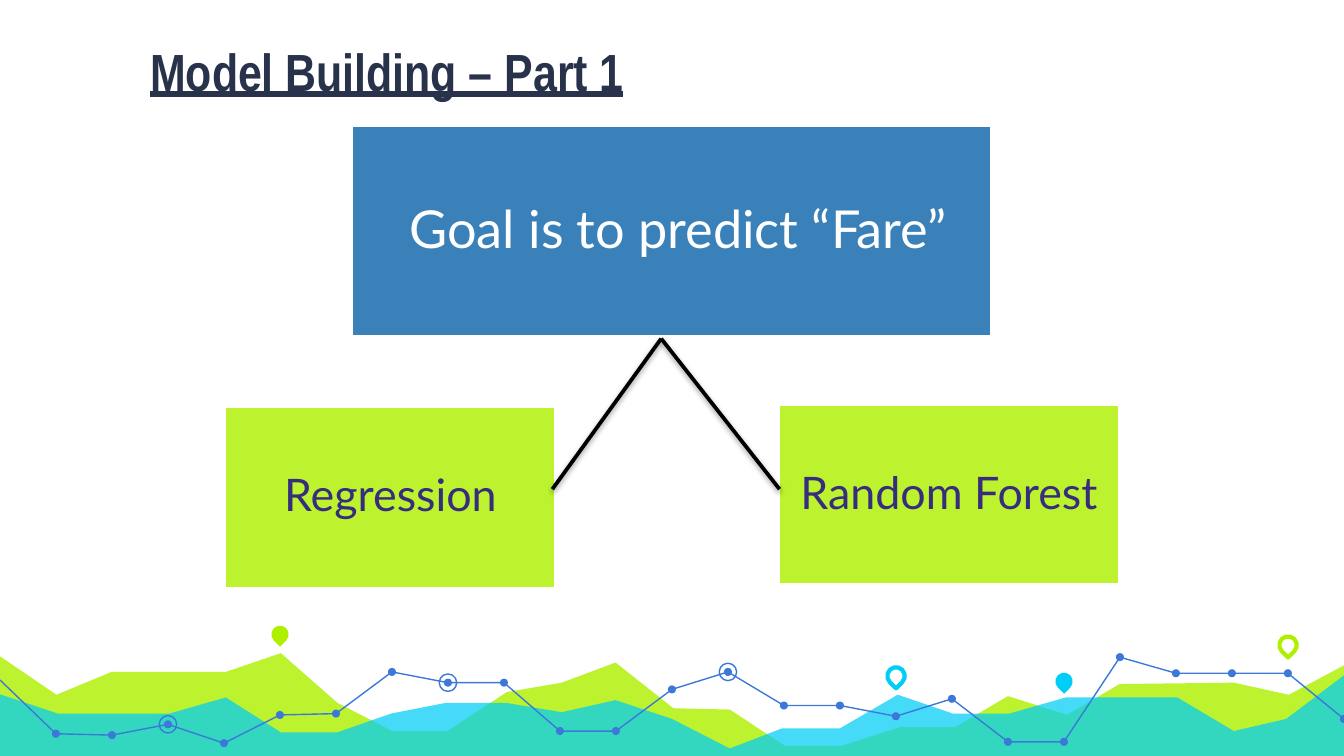
import pptx
import pptx.dml.color
import pptx.enum.shapes
import pptx.enum.text
import pptx.oxml
import pptx.oxml.ns
import pptx.util
from pptx.util import Inches

SHAPES = pptx.enum.shapes.MSO_SHAPE
LIME, CYAN, BLUE, NAVY = "AFF000", "00CEF6", "3C78D8", "28324A"
WHITE, BLACK = "FFFFFF", "000000"

TITLE = "Model Building – Part 1"

# text, (left, top, width, height), fill, text colour, text size, inset
BOXES = [
    (" Goal is to predict “Fare”", (2.61, 0.93, 4.77, 1.58), "3A81BA", WHITE, 28, 0.08),
    ("Regression", (1.67, 3.02, 2.47, 1.36), "BDF32E", "372D7D", 24, 0.07),
    ("Random Forest", (5.79, 3.01, 2.54, 1.34), "BDF32E", "372D7D", 24, 0.07),
]
FORK = (4.92, 2.52)
BRANCH_ENDS = [(5.8, 3.64), (4.11, 3.64)]

# colour, opacity in percent, outline
HILLS = [
    (LIME, 82, [
        (-0.02, 4.87), (0.42, 5.17), (0.83, 5), (1.68, 5), (2.09, 4.86), (2.51, 5.23),
        (2.92, 5.44), (3.33, 5.44), (3.77, 5.15), (4.18, 5.08), (4.58, 4.93), (5.01, 5.27),
        (5.43, 5.28), (5.84, 5.55), (6.26, 5.55), (6.7, 5.41), (7.11, 5.41), (7.5, 5.18),
        (7.94, 5.32), (8.33, 5.09), (9.18, 5.08), (9.59, 5.17), (10.02, 4.94),
        (10.01, 5.64), (-0.03, 5.64)]),
    (CYAN, 73, [
        (-0.02, 5.16), (0.43, 5.31), (1.26, 5.31), (1.68, 5.19), (2.09, 5.45), (2.51, 5.45),
        (2.91, 5.31), (3.32, 5.23), (3.76, 5.23), (4.18, 5.3), (4.58, 5.21), (5, 5.35),
        (5.43, 5.57), (5.82, 5.42), (6.25, 5.42), (6.68, 5.17), (7.09, 5.31), (7.51, 5.31),
        (7.93, 5.19), (8.76, 5.19), (9.18, 5.44), (9.57, 5.35), (10.02, 5.01),
        (10.02, 5.65), (-0.03, 5.65)]),
]

# Heights of the trend line at equal steps across the slide
TREND = [5.06, 5.46, 5.47, 5.39, 5.53, 5.32, 5.31, 5.0, 5.08, 5.08, 5.44, 5.44, 5.13,
         5.0, 5.25, 5.25, 5.33, 5.2, 5.52, 5.52, 4.89, 5.01, 5.01, 5.01, 5.35]
STEP = 10 / (len(TREND) - 1)
RINGED_STEPS = [3, 8, 13]
DOT, RING = 0.06, 0.13

# step, centre height, colour, filled
PINS = [(5, 4.72, LIME, True), (16, 5.03, CYAN, False),
        (19, 5.07, CYAN, True), (23, 4.8, LIME, False)]


def color(value):
    return pptx.dml.color.RGBColor.from_string(value)


def paint(shape, fill=None, line=None, width=0.75):
    shape.shadow.inherit = False
    if fill:
        shape.fill.solid()
        shape.fill.fore_color.rgb = color(fill)
    else:
        shape.fill.background()
    if line:
        shape.line.color.rgb = color(line)
        shape.line.width = pptx.util.Pt(width)
    else:
        shape.line.fill.background()


def add_path(page, points, closed):
    points = [(Inches(x), Inches(y)) for x, y in points]
    builder = page.shapes.build_freeform(*points[0])
    builder.add_line_segments(points[1:], close=closed)
    return builder.convert_to_shape()


def add_centred(page, kind, x, y, size):
    return page.shapes.add_shape(
        kind, Inches(x - size / 2), Inches(y - size / 2), Inches(size), Inches(size))


def write(para, text, font, size, text_color):
    para.text = text
    para.font.name = font
    para.font.size = pptx.util.Pt(size)
    para.font.color.rgb = color(text_color)


def add_landscape(page):
    for fill, opacity, points in HILLS:
        hill = add_path(page, points, True)
        paint(hill, fill)
        tone = hill._element.spPr.find(".//" + pptx.oxml.ns.qn("a:srgbClr"))
        tone.append(pptx.oxml.parse_xml(
            f'<a:alpha {pptx.oxml.ns.nsdecls("a")} val="{opacity * 1000}"/>'))

    trend = [(step * STEP, y) for step, y in enumerate(TREND)]
    paint(add_path(page, trend, False), line=BLUE)
    for x, y in trend[1:]:
        paint(add_centred(page, SHAPES.OVAL, x, y, DOT), BLUE)
    for step in RINGED_STEPS:
        paint(add_centred(page, SHAPES.OVAL, *trend[step], RING), line=BLUE)

    for step, y, tint, filled in PINS:
        pin = add_centred(page, SHAPES.TEAR, step * STEP, y, RING)
        pin.rotation = 135
        if filled:
            paint(pin, tint)
        else:
            paint(pin, line=tint, width=2.25)


def add_title(page):
    box = page.shapes.add_textbox(Inches(1.02), Inches(0.24), Inches(7.8), Inches(0.57))
    box.text_frame.word_wrap = True
    box.text_frame.auto_size = pptx.enum.text.MSO_AUTO_SIZE.SHAPE_TO_FIT_TEXT
    para = box.text_frame.paragraphs[0]
    write(para, TITLE, "Arial Narrow", 28, NAVY)
    para.font.bold = True
    para.font.underline = True


def add_box(page, text, place, fill, text_color, size, inset):
    box = page.shapes.add_shape(SHAPES.RECTANGLE, *map(Inches, place))
    paint(box, fill, WHITE, 2)
    frame = box.text_frame
    frame.word_wrap = True
    frame.vertical_anchor = pptx.enum.text.MSO_ANCHOR.MIDDLE
    frame.margin_left = frame.margin_right = Inches(inset)
    frame.margin_top = frame.margin_bottom = Inches(inset)
    para = frame.paragraphs[0]
    write(para, text, "Lato", size, text_color)
    para.alignment = pptx.enum.text.PP_ALIGN.CENTER
    para.line_spacing = 0.9


def add_branch(page, end):
    """Draw a line from the fork to end, with a soft shadow below it."""
    branch = page.shapes.add_connector(
        pptx.enum.shapes.MSO_CONNECTOR.STRAIGHT, *map(Inches, FORK + end))
    branch.line.color.rgb = color(BLACK)
    branch.line.width = pptx.util.Pt(2)
    blur, distance = pptx.util.Pt(3.1), pptx.util.Pt(1.6)
    branch._element.spPr.append(pptx.oxml.parse_xml(
        f'<a:effectLst {pptx.oxml.ns.nsdecls("a")}>'
        f'<a:outerShdw blurRad="{blur}" dist="{distance}" dir="5400000" rotWithShape="0">'
        f'<a:srgbClr val="{BLACK}"><a:alpha val="38000"/></a:srgbClr>'
        '</a:outerShdw></a:effectLst>'))


def main():
    deck = pptx.Presentation()
    deck.slide_width = Inches(10)
    deck.slide_height = Inches(10 * 9 / 16)
    page = deck.slides.add_slide(deck.slide_layouts[6])
    add_landscape(page)
    add_title(page)
    for box in BOXES:
        add_box(page, *box)
    for end in BRANCH_ENDS:
        add_branch(page, end)
    deck.save("out.pptx")


if __name__ == "__main__":
    main()
